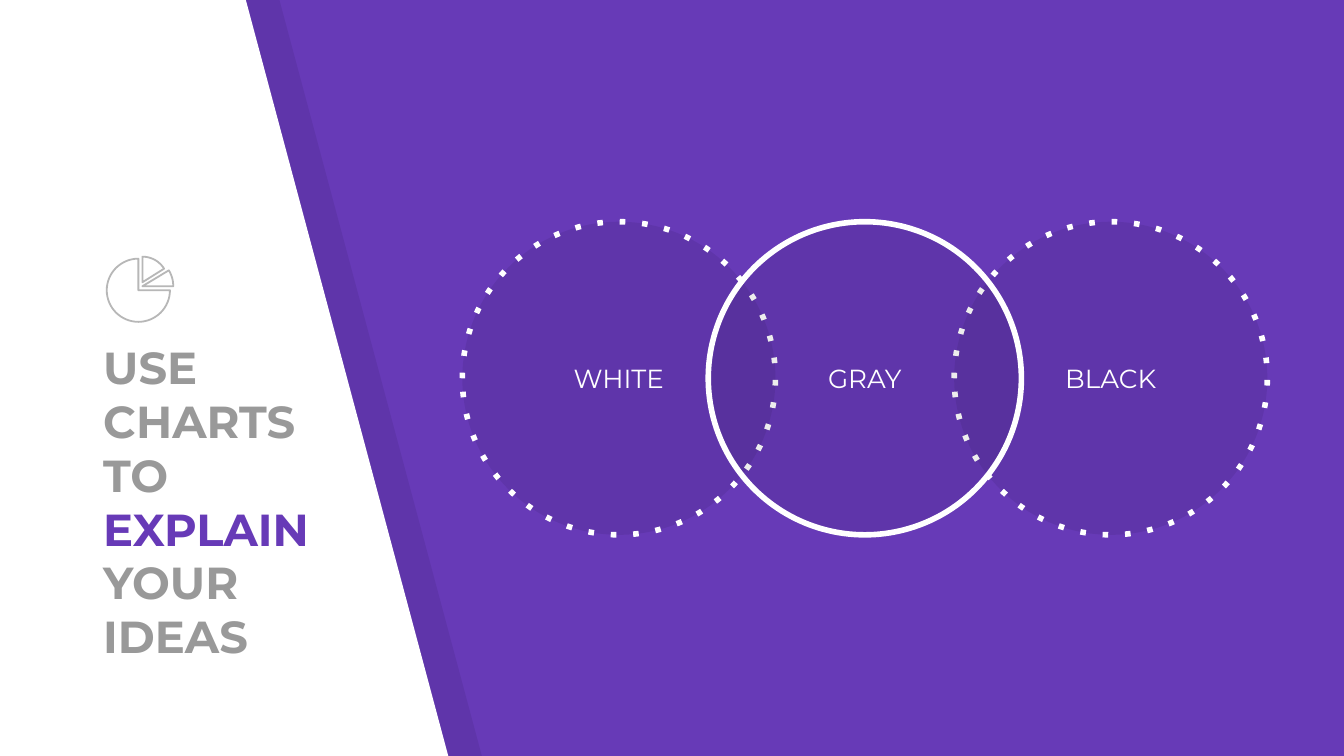
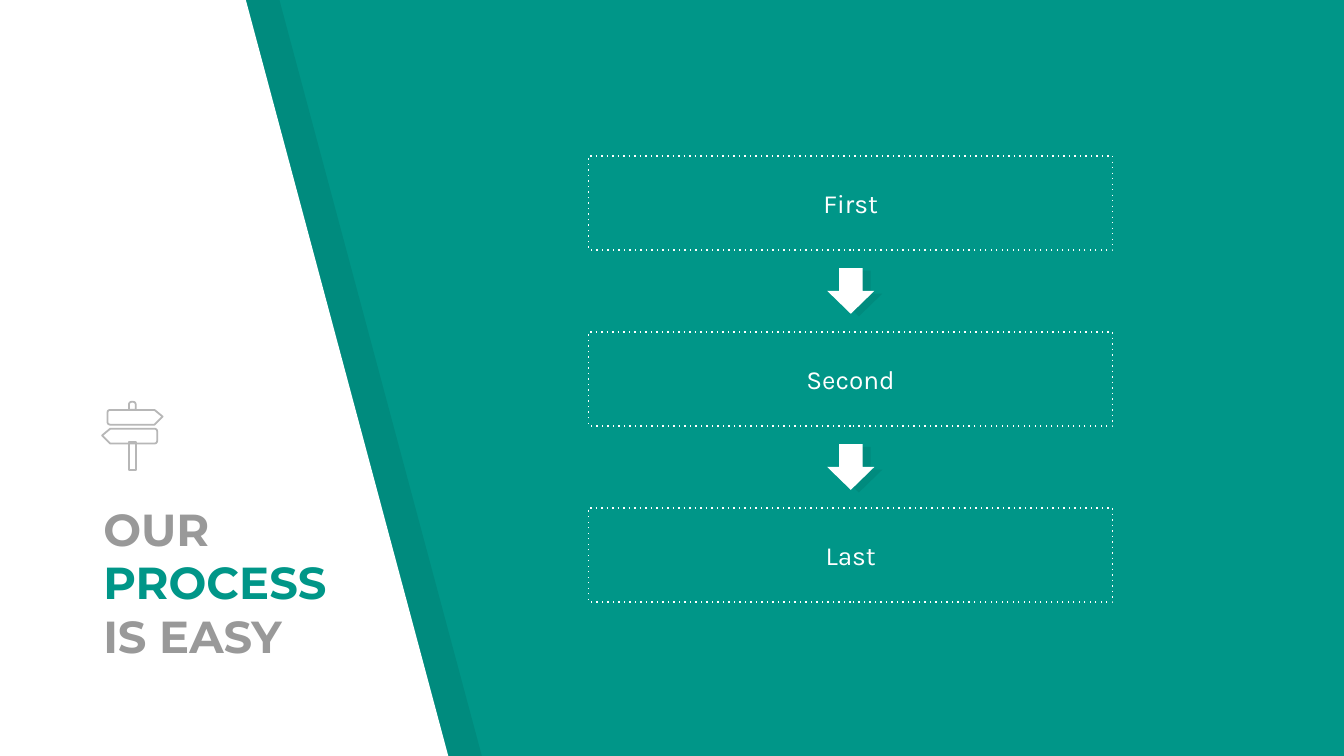
from dataclasses import dataclass
from math import cos, radians, sin

from lxml.etree import SubElement
from pptx import Presentation
from pptx.dml.color import RGBColor
from pptx.enum.shapes import MSO_SHAPE as Preset
from pptx.enum.text import MSO_ANCHOR as Anchor, PP_ALIGN as Align
from pptx.oxml.ns import qn
from pptx.shapes.autoshape import Shape
from pptx.slide import Slide
from pptx.util import Inches, Pt

Point = tuple[float, float]


@dataclass(frozen=True)
class Theme:
    purple: str = "673AB7"
    teal: str = "009688"
    white: str = "FFFFFF"
    shade: str = "000000"
    title: str = "999999"
    icon: str = "B7B7B7"
    shade_opacity: int = 7
    heading_font: str = "Montserrat"
    body_font: str = "Karla"
    title_size: float = 24
    label_size: float = 14
    icon_line: float = 0.96
    circle_line: float = 3
    box_line: float = 0.75


@dataclass(frozen=True)
class TitleText:
    before: str
    accent: str
    after: str
    width: float


@dataclass(frozen=True)
class Label:
    text: str
    preset: Preset
    left: float
    top: float
    width: float
    height: float
    font: str
    line: float
    dotted: bool = True
    shaded: bool = False


THEME = Theme()


def rgb(color: str) -> RGBColor:
    return RGBColor.from_string(color)


def fill(sp: Shape, color: str | None, opacity: int = 100) -> None:
    sp.shadow.inherit = False
    if color is None:
        sp.fill.background()
        return
    sp.fill.solid()
    sp.fill.fore_color.rgb = rgb(color)
    if opacity < 100:
        clr = sp._element.spPr.find(qn("a:solidFill")).find(qn("a:srgbClr"))
        SubElement(clr, qn("a:alpha")).set("val", str(opacity * 1000))


def outline(sp: Shape, color: str | None, width: float = 0, dotted: bool = False) -> None:
    if color is None:
        sp.line.fill.background()
        return
    sp.line.color.rgb = rgb(color)
    sp.line.width = Pt(width)
    if dotted:
        ln = sp._element.spPr.find(qn("a:ln"))
        SubElement(ln, qn("a:prstDash")).set("val", "dot")


def polygon(s: Slide, points: list[Point]) -> Shape:
    emu = [(Inches(x), Inches(y)) for x, y in points]
    builder = s.shapes.build_freeform(*emu[0])
    builder.add_line_segments(emu[1:], close=True)
    return builder.convert_to_shape()


def arc(cx: float, cy: float, radius: float, start: float, end: float, steps: int) -> list[Point]:
    angles = [radians(start + (end - start) * i / steps) for i in range(steps + 1)]
    return [(cx + radius * cos(a), cy + radius * sin(a)) for a in angles]


def add_icon(s: Slide, outlines: list[list[Point]]) -> None:
    parts = [polygon(s, points) for points in outlines]
    for sp in parts:
        fill(sp, None)
        outline(sp, THEME.icon, THEME.icon_line)
    s.shapes.add_group_shape(parts)


def pie_icon() -> list[list[Point]]:
    return [
        [(1.03, 2.16), *arc(1.03, 2.16, 0.235, -90, -360, 48)],
        [(1.06, 2.1), *arc(1.06, 2.1, 0.19, -90, -32, 12)],
        [(1.06, 2.13), *arc(1.06, 2.13, 0.23, -31, 0, 8)],
    ]


def signpost_icon() -> list[list[Point]]:
    right_sign = [
        (1.15, 3.05),
        *arc(0.82, 3.07, 0.02, -90, -180, 5),
        *arc(0.82, 3.14, 0.02, 180, 90, 5),
        (1.15, 3.16),
        (1.21, 3.1),
    ]
    left_sign = [(1.97 - x, y + 0.14) for x, y in right_sign]
    cap = [
        (0.96, 3.05),
        *arc(0.98, 3.01, 0.02, 180, 270, 5),
        *arc(0.99, 3.01, 0.02, 270, 360, 5),
        (1.01, 3.05),
    ]
    post = [(0.96, 3.29), (0.96, 3.5), (1.01, 3.5), (1.01, 3.29)]
    return [right_sign, left_sign, cap, post]


def add_panel(s: Slide) -> None:
    for shift, color, opacity in (
        (0.25, THEME.shade, THEME.shade_opacity),
        (0, THEME.white, 100),
    ):
        corners = [(-0.02, -0.01), (-0.02, 5.64), (3.34, 5.64), (1.83, 0)]
        sp = polygon(s, [(x + shift, y) for x, y in corners])
        fill(sp, color, opacity)
        outline(sp, None)


def add_title(s: Slide, title: TitleText, accent: str) -> None:
    box = s.shapes.add_textbox(Inches(0.67), Inches(4.5), Inches(title.width), Inches(0.53))
    tf = box.text_frame
    tf.word_wrap = True
    tf.vertical_anchor = Anchor.BOTTOM
    tf.margin_left = tf.margin_right = tf.margin_top = tf.margin_bottom = Inches(0.1)
    p = tf.paragraphs[0]
    for text, color in (
        (title.before, THEME.title),
        (title.accent, accent),
        (title.after, THEME.title),
    ):
        r = p.add_run()
        r.text = text
        r.font.name = THEME.heading_font
        r.font.size = Pt(THEME.title_size)
        r.font.bold = True
        r.font.color.rgb = rgb(color)


def add_label(s: Slide, label: Label) -> None:
    sp = s.shapes.add_shape(
        label.preset, Inches(label.left), Inches(label.top), Inches(label.width), Inches(label.height)
    )
    fill(sp, THEME.shade if label.shaded else None, THEME.shade_opacity)
    outline(sp, THEME.white, label.line, label.dotted)
    tf = sp.text_frame
    tf.text = label.text
    tf.word_wrap = True
    tf.vertical_anchor = Anchor.MIDDLE
    tf.margin_left = tf.margin_right = tf.margin_top = tf.margin_bottom = Inches(0.1)
    p = tf.paragraphs[0]
    p.alignment = Align.CENTER
    font = p.runs[0].font
    font.name = label.font
    font.size = Pt(THEME.label_size)
    font.color.rgb = rgb(THEME.white)


def add_arrow(s: Slide, left: float, top: float) -> None:
    parts = []
    for dx, dy, color, opacity in (
        (0.06, 0.02, THEME.shade, THEME.shade_opacity),
        (0, 0, THEME.white, 100),
    ):
        sp = s.shapes.add_shape(
            Preset.RIGHT_ARROW, Inches(left + dx), Inches(top + dy), Inches(0.34), Inches(0.35)
        )
        sp.rotation = 90
        fill(sp, color, opacity)
        outline(sp, None)
        parts.append(sp)
    s.shapes.add_group_shape(parts)


def add_slide(prs: Presentation, accent: str, title: TitleText) -> Slide:
    s = prs.slides.add_slide(prs.slide_layouts[6])
    s.background.fill.solid()
    s.background.fill.fore_color.rgb = rgb(accent)
    add_panel(s)
    add_title(s, title, accent)
    return s


def add_charts_slide(prs: Presentation) -> None:
    s = add_slide(prs, THEME.purple, TitleText("USE CHARTS TO ", "EXPLAIN", " YOUR IDEAS", 1.76))
    for text, column in (("WHITE", 0), ("BLACK", 2), ("GRAY", 1)):
        add_label(s, Label(
            text, Preset.OVAL, 3.44 + 1.83 * column, 1.65, 2.33, 2.33,
            THEME.heading_font, THEME.circle_line, dotted=column != 1, shaded=True,
        ))
    add_icon(s, pie_icon())


def add_process_slide(prs: Presentation) -> None:
    s = add_slide(prs, THEME.teal, TitleText("OUR ", "PROCESS", " IS EASY", 1.88))
    steps = ("First", "Second", "Last")
    for i, text in enumerate(steps):
        top = 1.16 + 1.31 * i
        add_label(s, Label(
            text, Preset.RECTANGLE, 4.38, top, 3.9, 0.7, THEME.body_font, THEME.box_line
        ))
        if i < len(steps) - 1:
            add_arrow(s, 6.16, top + 0.83)
    add_icon(s, signpost_icon())


def main() -> None:
    prs = Presentation()
    prs.slide_width = Inches(10)
    prs.slide_height = Inches(10 * 9 / 16)
    add_charts_slide(prs)
    add_process_slide(prs)
    prs.save("out.pptx")


if __name__ == "__main__":
    main()
